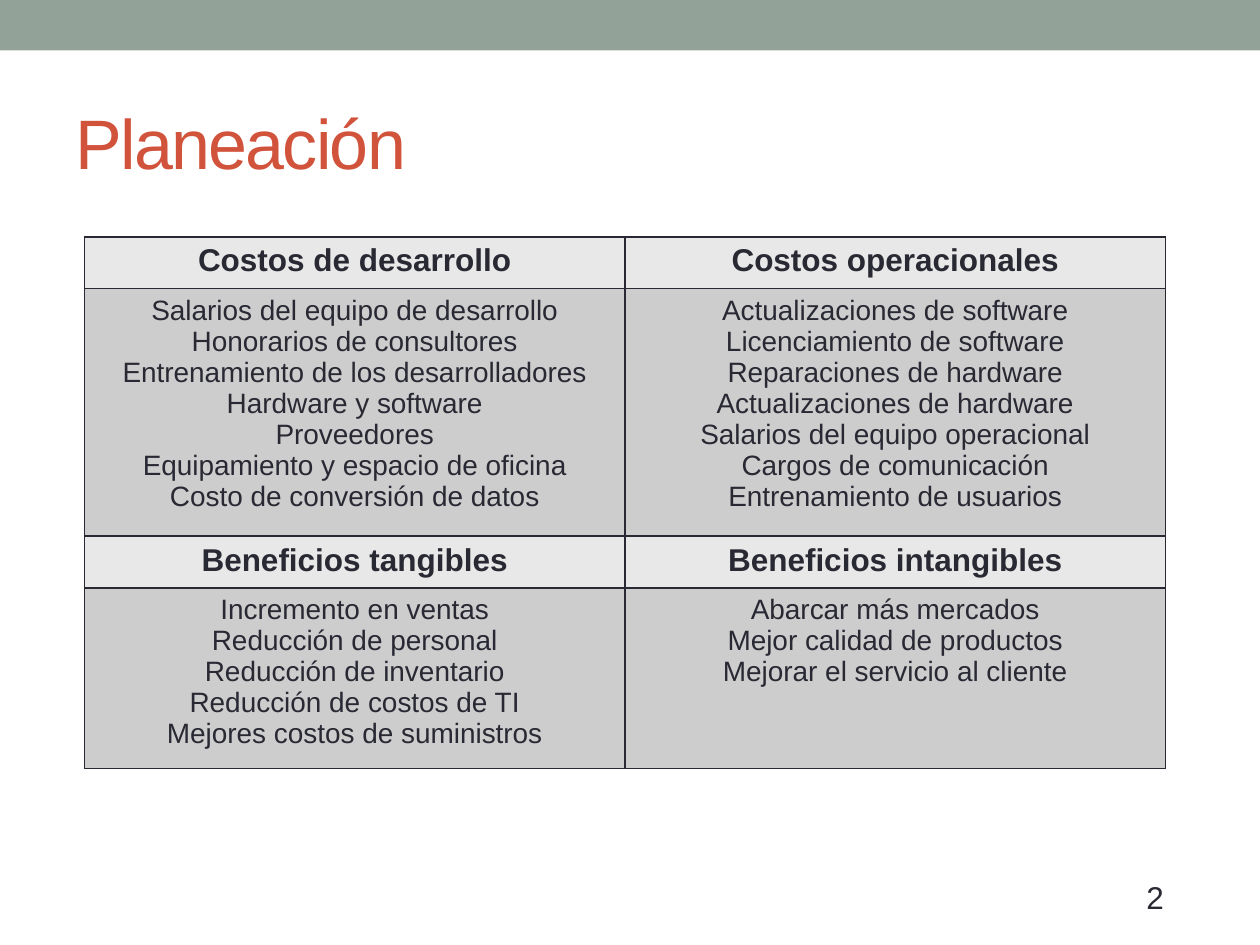
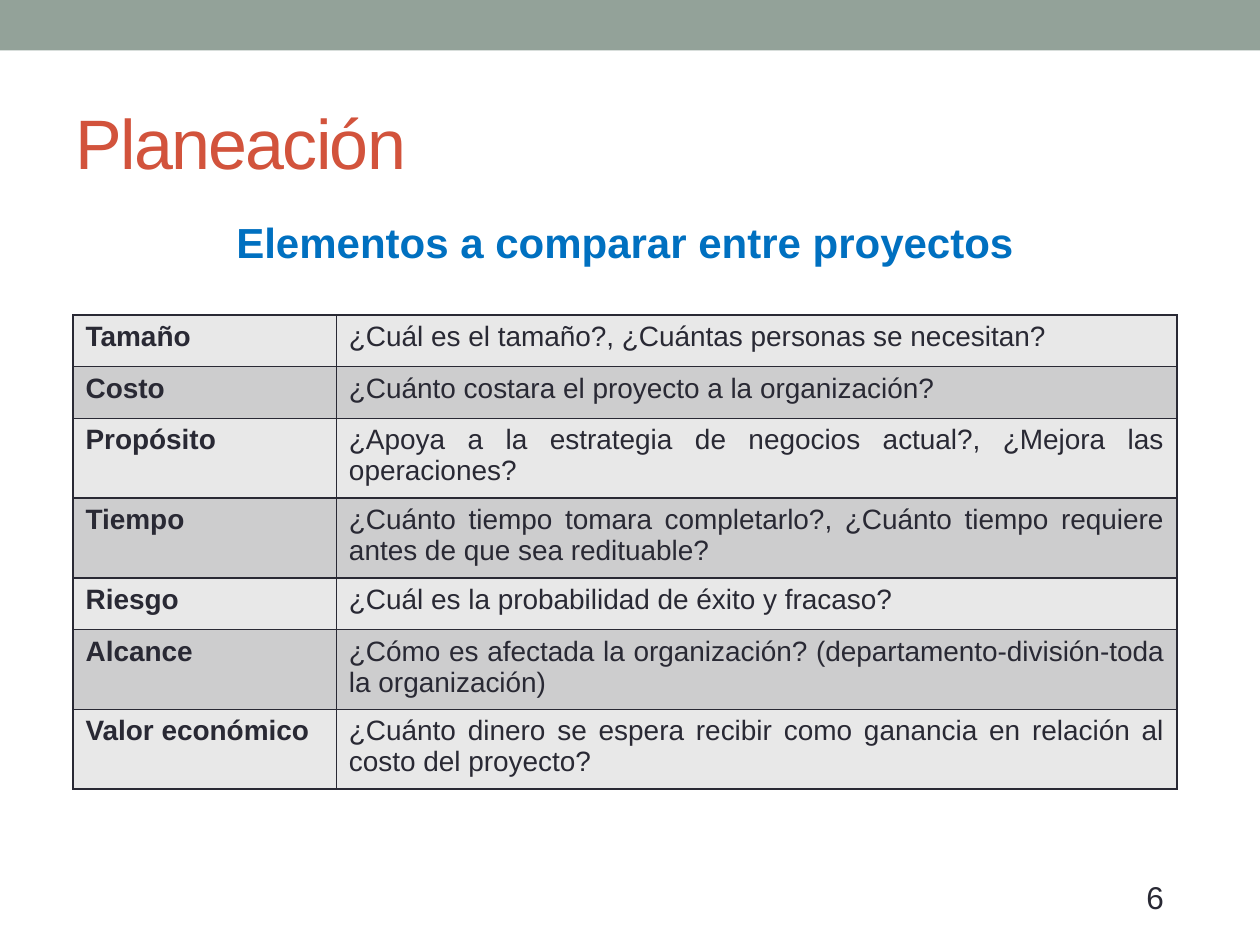
from dataclasses import dataclass

from lxml.etree import SubElement
from pptx import Presentation
from pptx.dml.color import RGBColor
from pptx.enum.shapes import MSO_SHAPE
from pptx.enum.text import MSO_ANCHOR, MSO_AUTO_SIZE, PP_ALIGN
from pptx.oxml.ns import qn
from pptx.presentation import Presentation as Deck
from pptx.slide import Slide
from pptx.table import _Cell as TableCell
from pptx.text.text import TextFrame
from pptx.util import Inches, Pt

FONT = "Arial"
COLORS = {
    "band": "93A299",
    "title": "D2533C",
    "text": "292934",
    "subtitle": "0070C0",
    "light": "E8E8E8",
    "dark": "CDCDCE",
}
ROW_HEIGHT = 0.41
TITLE_ONLY_LAYOUT = 5


@dataclass(frozen=True)
class TextStyle:
    size: int
    color: str = "text"
    bold: bool = False
    align: PP_ALIGN = PP_ALIGN.LEFT


@dataclass(frozen=True)
class Box:
    left: float
    top: float
    width: float
    height: float

    def lengths(self) -> tuple[Inches, Inches, Inches, Inches]:
        return Inches(self.left), Inches(self.top), Inches(self.width), Inches(self.height)


@dataclass(frozen=True)
class CellContent:
    lines: list[str]
    style: TextStyle
    fill: str


TITLE = TextStyle(40, "title")
SUBTITLE = TextStyle(24, "subtitle", True, PP_ALIGN.CENTER)
PAGE_NUMBER = TextStyle(18)
HEADING = TextStyle(18, bold=True, align=PP_ALIGN.CENTER)
ITEMS = TextStyle(16, align=PP_ALIGN.CENTER)
ELEMENT = TextStyle(16, bold=True)
QUESTION = TextStyle(16, align=PP_ALIGN.JUSTIFY)

COSTS_AND_BENEFITS = [
    {
        "Costos de desarrollo": [
            "Salarios del equipo de desarrollo",
            "Honorarios de consultores",
            "Entrenamiento de los desarrolladores",
            "Hardware y software",
            "Proveedores",
            "Equipamiento y espacio de oficina",
            "Costo de conversión de datos",
        ],
        "Costos operacionales": [
            "Actualizaciones de software",
            "Licenciamiento de software",
            "Reparaciones de hardware",
            "Actualizaciones de hardware",
            "Salarios del equipo operacional",
            "Cargos de comunicación",
            "Entrenamiento de usuarios",
        ],
    },
    {
        "Beneficios tangibles": [
            "Incremento en ventas",
            "Reducción de personal",
            "Reducción de inventario",
            "Reducción de costos de TI",
            "Mejores costos de suministros",
        ],
        "Beneficios intangibles": [
            "Abarcar más mercados",
            "Mejor calidad de productos",
            "Mejorar el servicio al cliente",
        ],
    },
]

PROJECT_QUESTIONS = {
    "Tamaño": "¿Cuál es el tamaño?, ¿Cuántas personas se necesitan?",
    "Costo": "¿Cuánto costara el proyecto a la organización?",
    "Propósito": "¿Apoya a la estrategia de negocios actual?, ¿Mejora las operaciones?",
    "Tiempo": "¿Cuánto tiempo tomara completarlo?, "
    "¿Cuánto tiempo requiere antes de que sea redituable?",
    "Riesgo": "¿Cuál es la probabilidad de éxito y fracaso?",
    "Alcance": "¿Cómo es afectada la organización? "
    "(departamento-división-toda la organización)",
    "Valor económico": "¿Cuánto dinero se espera recibir como ganancia "
    "en relación al costo del proyecto?",
}


def rgb(name: str) -> RGBColor:
    return RGBColor.from_string(COLORS[name])


def write_lines(frame: TextFrame, lines: list[str], style: TextStyle) -> None:
    for index, line in enumerate(lines):
        paragraph = frame.add_paragraph() if index else frame.paragraphs[0]
        paragraph.alignment = style.align
        run = paragraph.add_run()
        run.text = line
        run.font.name = FONT
        run.font.size = Pt(style.size)
        run.font.bold = style.bold
        run.font.color.rgb = rgb(style.color)


def add_text(slide: Slide, box: Box, text: str, style: TextStyle) -> TextFrame:
    frame = slide.shapes.add_textbox(*box.lengths()).text_frame
    frame.word_wrap = True
    write_lines(frame, [text], style)
    return frame


def add_band(slide: Slide) -> None:
    band = slide.shapes.add_shape(MSO_SHAPE.RECTANGLE, *Box(0, 0, 10, 0.4).lengths())
    band.shadow.inherit = False
    band.fill.solid()
    band.fill.fore_color.rgb = rgb("band")
    band.line.fill.background()


def set_title(slide: Slide, text: str) -> None:
    title = slide.shapes.title
    title.left, title.top, title.width, title.height = Box(0.5, 0.58, 9, 1.08).lengths()
    frame = title.text_frame
    frame.auto_size = MSO_AUTO_SIZE.NONE
    frame.vertical_anchor = MSO_ANCHOR.MIDDLE
    write_lines(frame, [text], TITLE)
    frame.paragraphs[0].runs[0].font._element.set("spc", "-100")


def add_planning_slide(presentation: Deck, page: int) -> Slide:
    """Add a slide with the shared band, title and page number."""
    slide = presentation.slides.add_slide(presentation.slide_layouts[TITLE_ONLY_LAYOUT])
    add_band(slide)
    set_title(slide, "Planeación")
    add_text(slide, Box(9, 6.92, 1.25, 0.36), str(page), PAGE_NUMBER)
    return slide


def set_borders(cell: TableCell) -> None:
    properties = cell._tc.get_or_add_tcPr()
    for side in ("lnL", "lnR", "lnT", "lnB"):
        line = SubElement(properties, qn(f"a:{side}"), w=str(Pt(1)))
        fill = SubElement(line, qn("a:solidFill"))
        SubElement(fill, qn("a:srgbClr"), val=COLORS["text"])


def add_content_table(
    slide: Slide, box: Box, column_widths: list[float], rows: list[list[CellContent]]
) -> None:
    graphic_frame = slide.shapes.add_table(len(rows), len(column_widths), *box.lengths())
    table = graphic_frame.table
    table.first_row = table.horz_banding = False
    for column, width in zip(table.columns, column_widths):
        column.width = Inches(width)
    for row, contents in zip(table.rows, rows):
        row.height = Inches(ROW_HEIGHT)
        for cell, content in zip(row.cells, contents):
            set_borders(cell)
            cell.fill.solid()
            cell.fill.fore_color.rgb = rgb(content.fill)
            write_lines(cell.text_frame, content.lines, content.style)
    graphic_frame.height = Inches(box.height)


def build_costs_slide(presentation: Deck) -> None:
    slide = add_planning_slide(presentation, 2)
    rows = []
    for group in COSTS_AND_BENEFITS:
        rows.append([CellContent([heading], HEADING, "light") for heading in group])
        rows.append([CellContent(items, ITEMS, "dark") for items in group.values()])
    add_content_table(slide, Box(0.67, 1.88, 8.58, 4.21), [4.29, 4.29], rows)


def build_comparison_slide(presentation: Deck) -> None:
    slide = add_planning_slide(presentation, 6)
    subtitle = add_text(
        slide, Box(0.67, 1.67, 8.58, 0.5), "Elementos a comparar entre proyectos", SUBTITLE
    )
    subtitle.auto_size = MSO_AUTO_SIZE.SHAPE_TO_FIT_TEXT
    rows = []
    for index, (element, question) in enumerate(PROJECT_QUESTIONS.items()):
        fill = "dark" if index % 2 else "light"
        rows.append(
            [CellContent([element], ELEMENT, fill), CellContent([question], QUESTION, fill)]
        )
    add_content_table(slide, Box(0.58, 2.5, 8.76, 3.75), [2.09, 6.67], rows)


def main() -> None:
    presentation = Presentation()
    presentation.slide_width = Inches(10)
    presentation.slide_height = Inches(7.5)
    build_costs_slide(presentation)
    build_comparison_slide(presentation)
    presentation.save("out.pptx")


if __name__ == "__main__":
    main()
